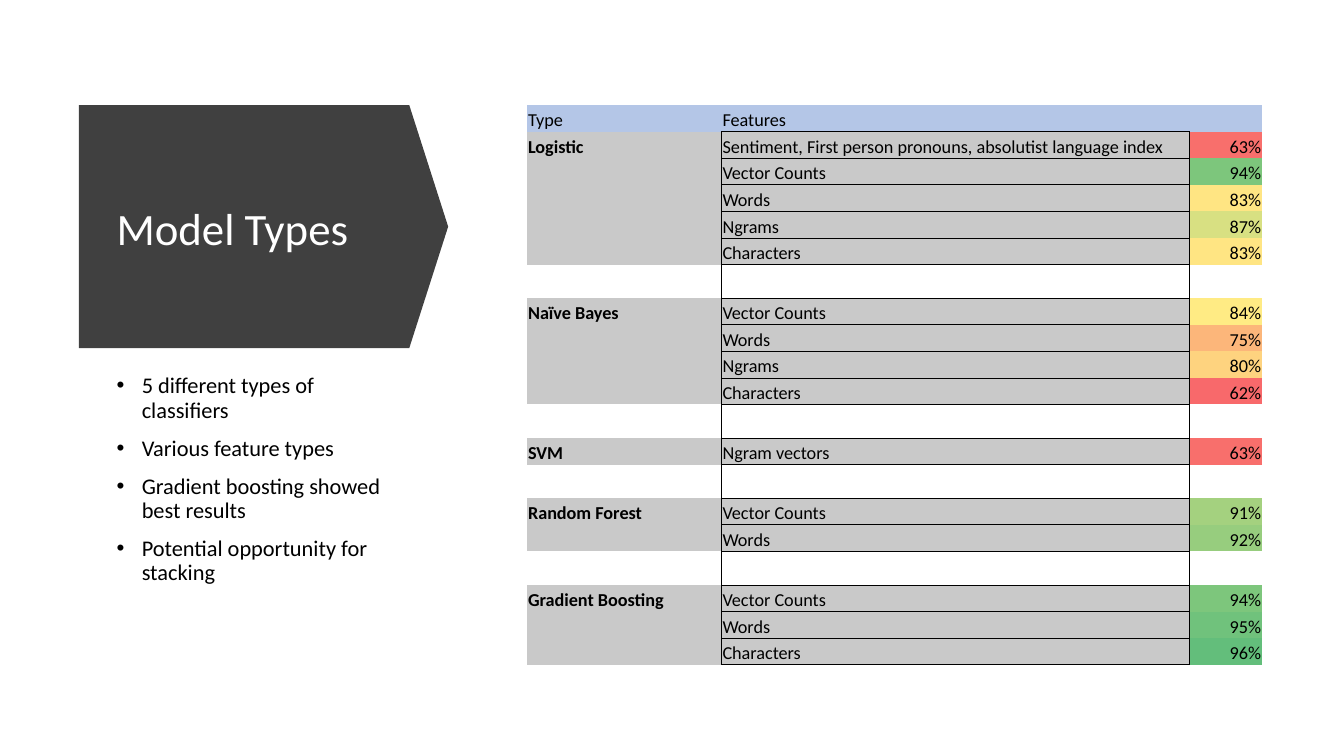
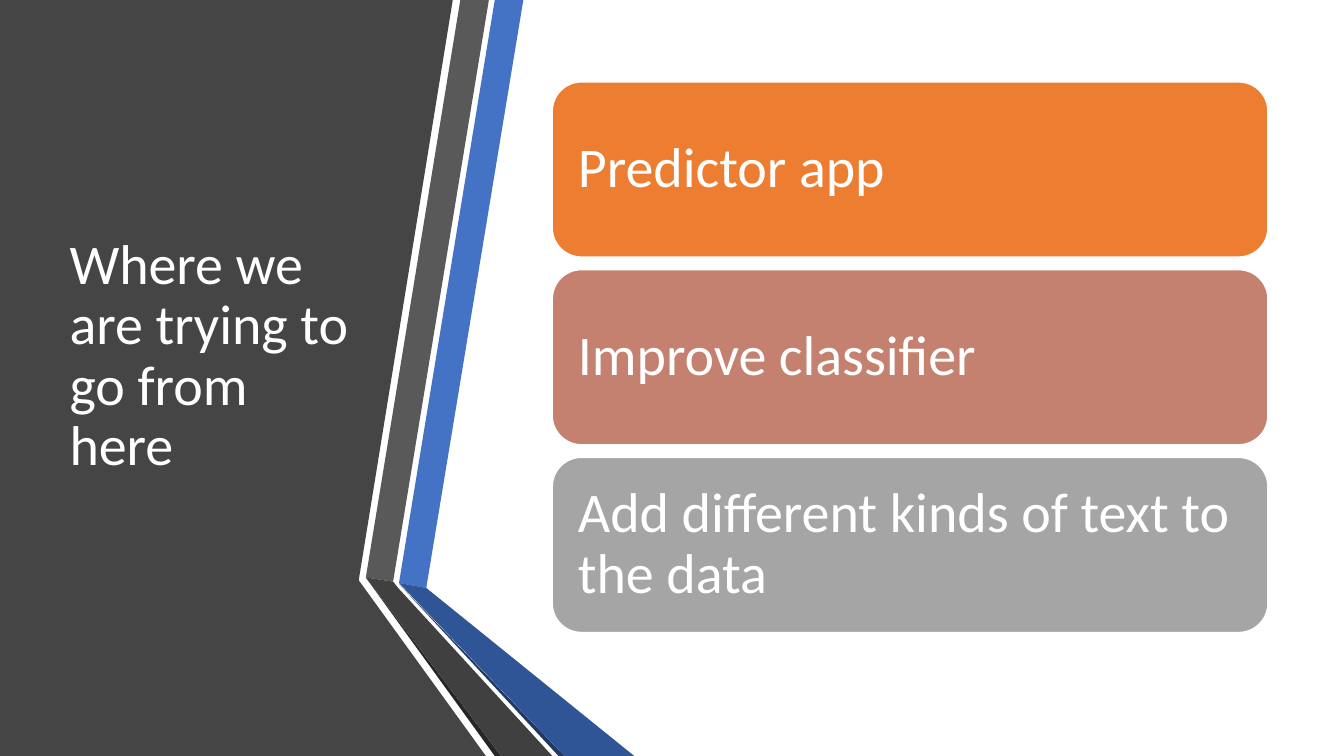
from lxml import etree
from pptx import Presentation
from pptx import util as u
from pptx.dml.color import RGBColor
from pptx.enum import shapes, text
from pptx.oxml import ns

COLUMNS, ROWS = 160, 90
FONT = "Calibri"
BLACK = RGBColor(0x00, 0x00, 0x00)
WHITE = RGBColor(0xFF, 0xFF, 0xFF)
CHARCOAL = RGBColor(0x40, 0x40, 0x40)
PANEL = RGBColor(0x45, 0x45, 0x45)
GRAY = RGBColor(0x59, 0x59, 0x59)
SOOT = RGBColor(0x26, 0x26, 0x26)
BLUE = RGBColor(0x44, 0x72, 0xC4)
DEEP_BLUE = RGBColor(0x2F, 0x55, 0x97)
NAVY = RGBColor(0x20, 0x38, 0x64)
ORANGE = RGBColor(0xED, 0x7D, 0x31)
CLAY = RGBColor(0xC4, 0x81, 0x70)
SILVER = RGBColor(0xA5, 0xA5, 0xA5)
HEADER_FILL = RGBColor(0xB4, 0xC6, 0xE7)
BODY_FILL = RGBColor(0xC9, 0xC9, 0xC9)
SCORE_SCALE = (
    (62, RGBColor(0xF8, 0x69, 0x6B)),
    (84, RGBColor(0xFF, 0xEB, 0x84)),
    (96, RGBColor(0x63, 0xBE, 0x7B)),
)
PLAIN_TABLE = "{2D5ABB26-0587-4C30-8999-92F81FD0307C}"
CELL_SIZE = 13
ROW_HEIGHT, GAP_HEIGHT = u.Pt(19), u.Pt(24)

BULLETS = (
    "5 different types of classifiers",
    "Various feature types",
    "Gradient boosting showed best results",
    "Potential opportunity for stacking",
)
MODELS = (
    ("Logistic", (
        ("Sentiment, First person pronouns, absolutist language index", 63),
        ("Vector Counts", 94), ("Words", 83), ("Ngrams", 87), ("Characters", 83))),
    ("Naïve Bayes", (
        ("Vector Counts", 84), ("Words", 75), ("Ngrams", 80), ("Characters", 62))),
    ("SVM", (("Ngram vectors", 63),)),
    ("Random Forest", (("Vector Counts", 91), ("Words", 92))),
    ("Gradient Boosting", (("Vector Counts", 94), ("Words", 95), ("Characters", 96))),
)
CHEVRON = (
    (PANEL, ((0, 0), (53.9, 0), (42.72, 69), (42.72, 69.1), (57.84, 90), (0, 90))),
    (BLUE, ((47.5, 69.4), (50.75, 70), (62.3, 0), (58.9, 0))),
    (GRAY, ((58.2, 0), (54.8, 0), (43.55, 68.75), (46.8, 69.25))),
    (SOOT, ((43.55, 68.75), (58.9, 90), (59.65, 90))),
    (NAVY, ((47.5, 69.5), (66.5, 90), (67.2, 90))),
    (DEEP_BLUE, ((47.5, 69.4), (67.2, 90), (75.5, 90), (50.75, 70))),
    (CHARCOAL, ((65.75, 90), (47.4, 70), (46.8, 69.25), (43.55, 68.75), (59.65, 90))),
)
STEPS = (
    ("Predictor app", ORANGE),
    ("Improve classifier", CLAY),
    ("Add different kinds of text to the data", SILVER),
)


def score_color(score):
    low, middle, high = SCORE_SCALE
    start, end = (low, middle) if score <= middle[0] else (middle, high)
    share = (score - start[0]) / (end[0] - start[0])
    return RGBColor(*(round(a + (b - a) * share) for a, b in zip(start[1], end[1])))


class Designer:
    def __init__(self):
        self.deck = Presentation()
        self.deck.slide_width, self.deck.slide_height = u.Emu(12192000), u.Emu(6858000)
        self.page = None

    def new_page(self):
        self.page = self.deck.slides.add_slide(self.deck.slide_layouts[6])

    def x(self, columns):
        return u.Emu(round(self.deck.slide_width * columns / COLUMNS))

    def y(self, rows):
        return u.Emu(round(self.deck.slide_height * rows / ROWS))

    def place(self, left, top, width, height):
        return self.x(left), self.y(top), self.x(width), self.y(height)

    def paint(self, shape, fill, line=None):
        shape.shadow.inherit = False
        shape.fill.solid()
        shape.fill.fore_color.rgb = fill
        if line is None:
            shape.line.fill.background()
        else:
            shape.line.color.rgb = line
            shape.line.width = u.Pt(1)

    def add_words(self, para, words, size, color, bold=False):
        span = para.add_run()
        span.text = words
        span.font.name, span.font.size, span.font.bold = FONT, u.Pt(size), bold
        span.font.color.rgb = color

    def paragraph(self, frame, words, size, color):
        para = frame.paragraphs[0]
        para.alignment = text.PP_ALIGN.LEFT
        para.line_spacing = 0.9
        self.add_words(para, words, size, color)

    def title(self, words, size, *grid):
        frame = self.page.shapes.add_textbox(*self.place(*grid)).text_frame
        frame.word_wrap = True
        frame.vertical_anchor = text.MSO_ANCHOR.MIDDLE
        self.paragraph(frame, words, size, WHITE)

    def bullets(self, items, size, *grid):
        frame = self.page.shapes.add_textbox(*self.place(*grid)).text_frame
        frame.word_wrap = True
        for index, item in enumerate(items):
            para = frame.add_paragraph() if index else frame.paragraphs[0]
            para.line_spacing, para.space_before = 0.9, u.Pt(10)
            self.add_words(para, item, size, BLACK)
            layout = para._p.get_or_add_pPr()
            layout.set("marL", str(u.Inches(0.25)))
            layout.set("indent", str(-u.Inches(0.25)))
            etree.SubElement(layout, ns.qn("a:buFont")).set("typeface", "Arial")
            etree.SubElement(layout, ns.qn("a:buChar")).set("char", "•")

    def arrow(self, fill, *grid):
        arrow = self.page.shapes.add_shape(
            shapes.MSO_SHAPE.DOWN_ARROW, *self.place(*grid))
        arrow.rotation = 270
        arrow.adjustments[0], arrow.adjustments[1] = 1, 0.16
        self.paint(arrow, fill)

    def outline(self, fill, points):
        spots = [(self.x(column), self.y(row)) for column, row in points]
        builder = self.page.shapes.build_freeform(*spots[0])
        builder.add_line_segments(spots[1:], close=True)
        self.paint(builder.convert_to_shape(), fill)

    def card(self, words, fill, *grid):
        box = self.page.shapes.add_shape(
            shapes.MSO_SHAPE.ROUNDED_RECTANGLE, *self.place(*grid))
        self.paint(box, fill, WHITE)
        frame = box.text_frame
        frame.word_wrap = True
        frame.vertical_anchor = text.MSO_ANCHOR.MIDDLE
        frame.margin_left = frame.margin_right = u.Inches(0.17)
        frame.margin_top = frame.margin_bottom = u.Inches(0.17)
        self.paragraph(frame, words, 40, WHITE)

    def cell(self, cell, words="", fill=None, sides="", bold=False, right=False):
        cell.margin_left = cell.margin_right = cell.margin_top = u.Inches(0.01)
        cell.margin_bottom = 0
        cell.vertical_anchor = text.MSO_ANCHOR.BOTTOM
        for side in sides:
            border = etree.SubElement(
                cell._tc.get_or_add_tcPr(), ns.qn("a:ln" + side), w=str(u.Pt(0.5)))
            solid = etree.SubElement(border, ns.qn("a:solidFill"))
            etree.SubElement(solid, ns.qn("a:srgbClr"), val=str(BLACK))
        if fill is None:
            cell.fill.background()
        else:
            cell.fill.solid()
            cell.fill.fore_color.rgb = fill
        para = cell.text_frame.paragraphs[0]
        if right:
            para.alignment = text.PP_ALIGN.RIGHT
        if words:
            self.add_words(para, words, CELL_SIZE, BLACK, bold)
        else:
            etree.SubElement(para._p, ns.qn("a:endParaRPr"), sz=str(CELL_SIZE * 100))

    def score_table(self, models, left, top, widths):
        lines = []
        for model, features in models:
            if lines:
                lines.append(None)
            for index, (feature, score) in enumerate(features):
                lines.append(("" if index else model, feature, score))
        frame = self.page.shapes.add_table(
            len(lines) + 1, len(widths), self.x(left), self.y(top),
            self.x(sum(widths)), ROW_HEIGHT * (len(lines) + 1))
        table = frame.table
        table.first_row = table.horz_banding = False
        table._tbl.tblPr.find(ns.qn("a:tableStyleId")).text = PLAIN_TABLE
        for column, width in zip(table.columns, widths):
            column.width = self.x(width)
        table.rows[0].height = ROW_HEIGHT
        header = (("Type", ""), ("Features", "B"), ("", ""))
        for cell, (words, sides) in zip(table.rows[0].cells, header):
            self.cell(cell, words, HEADER_FILL, sides)
        for index, line in enumerate(lines, 1):
            row = table.rows[index]
            row.height = ROW_HEIGHT if line else GAP_HEIGHT
            model, feature, score = line or ("", "", None)
            fill = BODY_FILL if line else None
            kind, name, result = row.cells
            self.cell(kind, model, fill, "R", bold=True)
            self.cell(name, feature, fill, "LRTB")
            self.cell(result, f"{score}%" if line else "",
                      score_color(score) if line else None, "L", right=True)


def main():
    designer = Designer()

    designer.new_page()
    designer.arrow(CHARCOAL, 16.9, 5, 28.95, 43.95)
    designer.title("Model Types", 32, 12.7, 15.85, 35, 23.4)
    designer.bullets(BULLETS, 16, 12.7, 44, 35, 31.8)
    designer.score_table(MODELS, 62.75, 12.5, (23.15, 55.65, 8.7))

    designer.new_page()
    for fill, points in CHEVRON:
        designer.outline(fill, points)
    designer.title("Where we are trying to go from here", 40, 7.1, 9, 36.5, 67)
    for index, (words, fill) in enumerate(STEPS):
        designer.card(words, fill, 65.75, 9.75 + index * 22.35, 85.2, 20.85)

    designer.deck.save("out.pptx")


if __name__ == "__main__":
    main()
